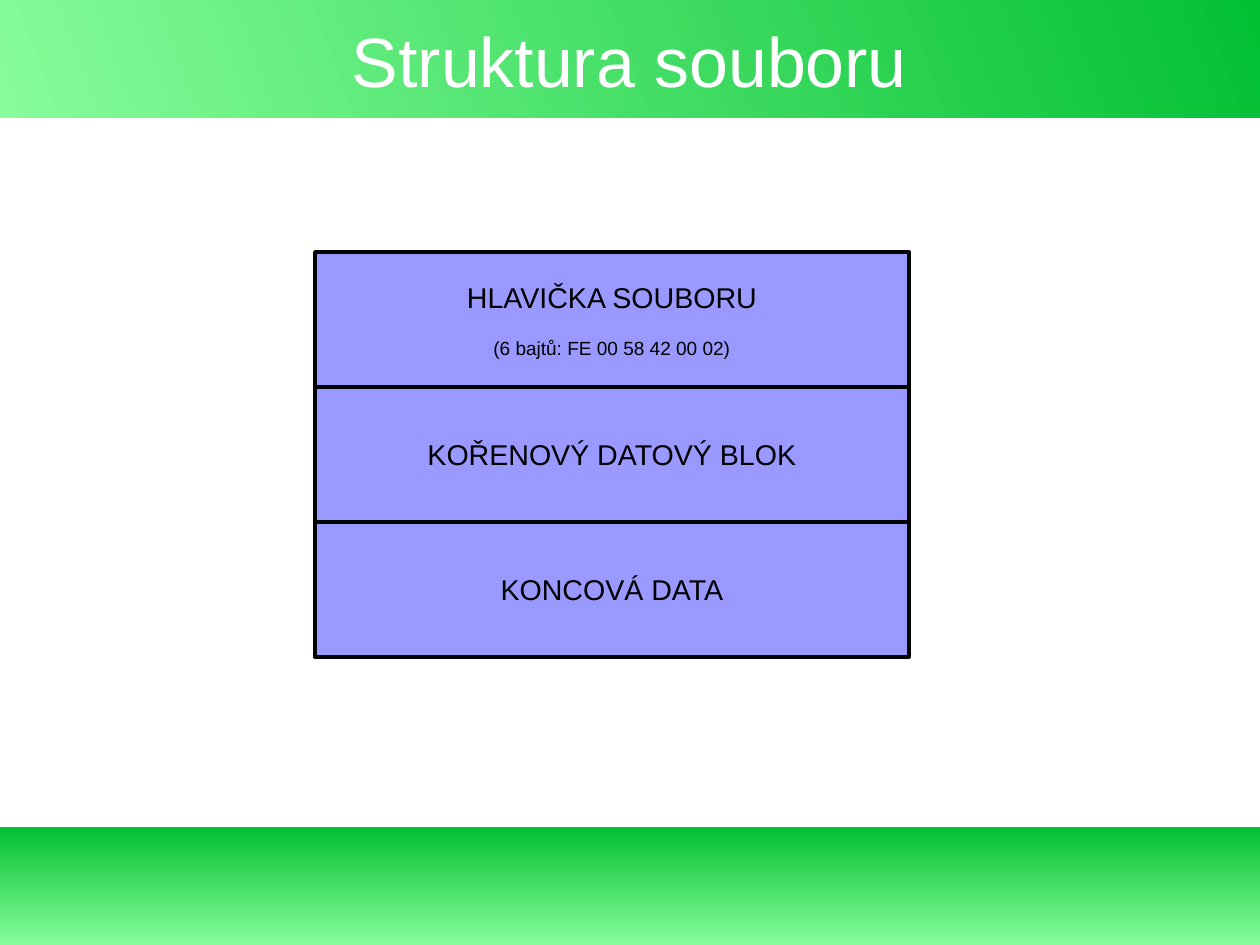
from pptx import Presentation
from pptx.dml.color import RGBColor
from pptx.enum.shapes import MSO_SHAPE
from pptx.enum.text import MSO_ANCHOR, PP_ALIGN
from pptx.util import Inches, Pt

RECT = MSO_SHAPE.RECTANGLE
MIDDLE = MSO_ANCHOR.MIDDLE
CENTER = PP_ALIGN.CENTER

FONT = "Arial"
COLORS = {
    "light_green": "87FD9B",
    "green": "03C033",
    "block": "9999FF",
    "black": "000000",
    "white": "FFFFFF",
}

TITLE = "Struktura souboru"
# Each block is a list of (text, size, space before) lines, all in points
BLOCKS = [
    [("HLAVIČKA SOUBORU", 18, 0), ("(6 bajtů: FE 00 58 42 00 02)", 12, 14)],
    [("KOŘENOVÝ DATOVÝ BLOK", 18, 0)],
    [("KONCOVÁ DATA", 18, 0)],
]

# The page and the block grid are metric: 28 x 21 cm, blocks 13.2 x 3 cm
CM = 1 / 2.54
SLIDE_W, SLIDE_H = 28 * CM, 21 * CM
BLOCK_X, BLOCK_Y, BLOCK_W, BLOCK_H = 7 * CM, 5.6 * CM, 13.2 * CM, 3 * CM
BAND_H = 1.03
# Top and gradient angle, counter-clockwise
BANDS = [(0, 20), (SLIDE_H - BAND_H, 90)]


def rgb(name):
    return RGBColor.from_string(COLORS[name])


def add_rect(slide, x, y, w, h):
    s = slide.shapes.add_shape(RECT, Inches(x), Inches(y), Inches(w), Inches(h))
    s.shadow.inherit = False
    return s


def add_band(slide, y, angle):
    s = add_rect(slide, 0, y, SLIDE_W, BAND_H)
    s.line.fill.background()
    s.fill.gradient()
    s.fill.gradient_angle = angle
    for stop, name in zip(s.fill.gradient_stops, ("light_green", "green")):
        stop.color.rgb = rgb(name)


def write(s, lines, color="black", margin_x=0.0, margin_y=0.0, wrap=True):
    """Fill a shape with centred (text, size, space before) lines."""
    tf = s.text_frame
    tf.word_wrap = wrap
    tf.vertical_anchor = MIDDLE
    tf.margin_left = tf.margin_right = Inches(margin_x)
    tf.margin_top = tf.margin_bottom = Inches(margin_y)
    for i, (text, size, before) in enumerate(lines):
        p = tf.add_paragraph() if i else tf.paragraphs[0]
        p.alignment = CENTER
        p.space_before = Pt(before)
        r = p.add_run()
        r.text = text
        r.font.name = FONT
        r.font.size = Pt(size)
        r.font.color.rgb = rgb(color)


def add_block(slide, y, lines):
    s = add_rect(slide, BLOCK_X, y, BLOCK_W, BLOCK_H)
    s.fill.solid()
    s.fill.fore_color.rgb = rgb("block")
    s.line.color.rgb = rgb("black")
    s.line.width = Pt(2.3)
    write(s, lines, margin_x=0.11, margin_y=0.06, wrap=False)


def main():
    prs = Presentation()
    prs.slide_width, prs.slide_height = Inches(SLIDE_W), Inches(SLIDE_H)
    slide = prs.slides.add_slide(prs.slide_layouts[6])

    for y, angle in BANDS:
        add_band(slide, y, angle)

    title = slide.shapes.add_textbox(Inches(0.55), Inches(0.17), Inches(9.92), Inches(0.7))
    write(title, [(TITLE, 44, 0)], color="white")

    for i, lines in enumerate(BLOCKS):
        add_block(slide, BLOCK_Y + i * BLOCK_H, lines)

    prs.save("out.pptx")


if __name__ == "__main__":
    main()
